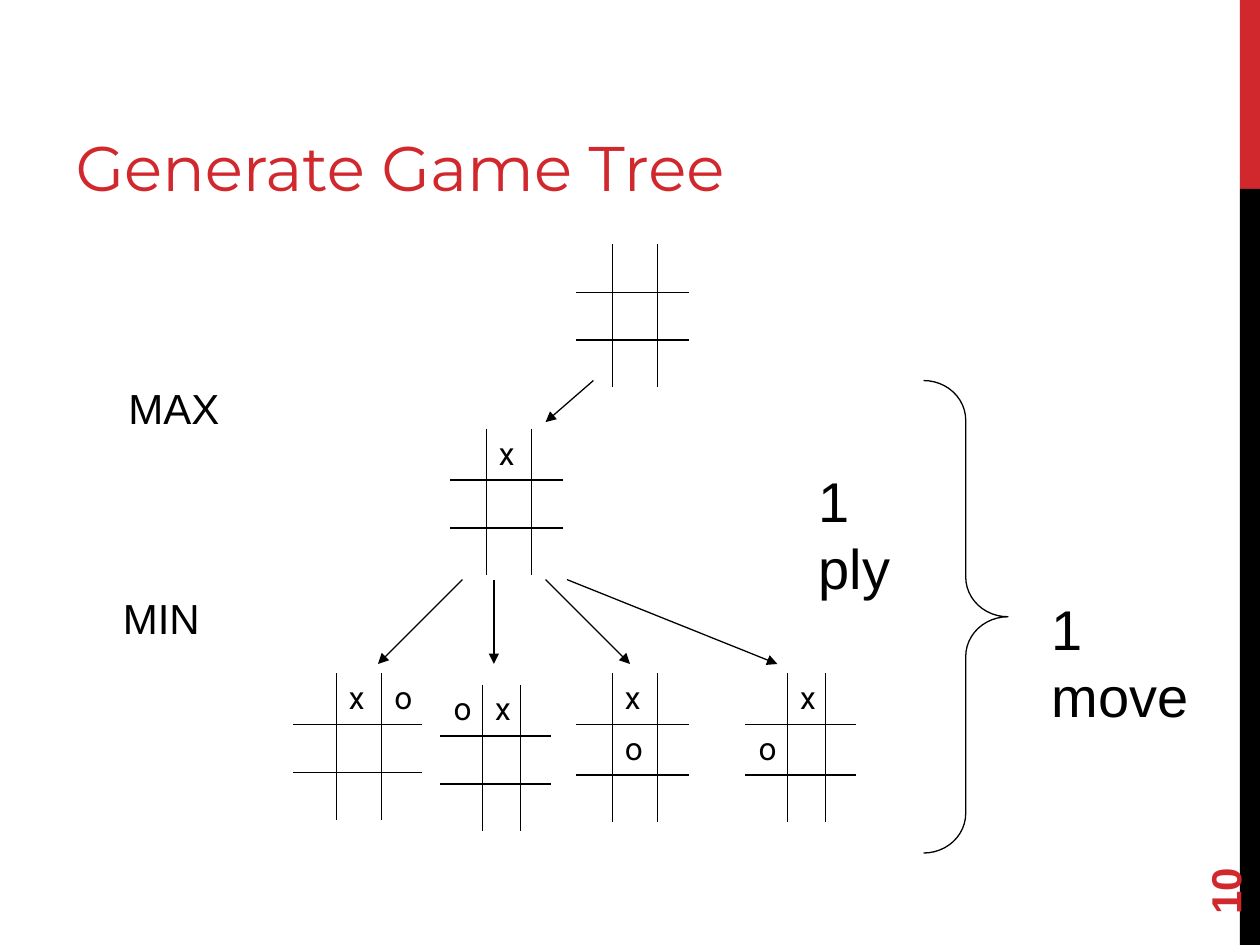
from lxml import etree
from pptx import Presentation
from pptx.dml.color import RGBColor
from pptx.enum.shapes import MSO_CONNECTOR, MSO_SHAPE
from pptx.enum.text import MSO_ANCHOR, PP_ALIGN
from pptx.oxml.ns import qn
from pptx.util import Inches, Pt

RECTANGLE = MSO_SHAPE.RECTANGLE
RIGHT_BRACE = MSO_SHAPE.RIGHT_BRACE
STRAIGHT = MSO_CONNECTOR.STRAIGHT
LEFT, CENTER = PP_ALIGN.LEFT, PP_ALIGN.CENTER
TOP, MIDDLE, BOTTOM = MSO_ANCHOR.TOP, MSO_ANCHOR.MIDDLE, MSO_ANCHOR.BOTTOM

RED, BLACK = "D1282E", "000000"
BOARD_SIZE = 3
EVEN_COLUMNS = (0.28, 0.36, 0.23)
WIDE_LEFT_COLUMNS = (0.33, 0.3, 0.23)
WIDE_COLUMNS = (0.34, 0.36, 0.31)
EMPTY_ROW, MARKED_ROW = 0.38, 0.4


def color(value):
    return RGBColor.from_string(value)


def box(left, top, width, height):
    return [Inches(length) for length in (left, top, width, height)]


class GameTreeSlide:
    body_font = "Arial"
    title_font = "Montserrat"
    mark_font = "Roboto"
    line_width = Pt(0.75)
    grid_width = Pt(1)

    def __init__(self, presentation):
        self.slide = presentation.slides.add_slide(presentation.slide_layouts[5])
        self.shapes = self.slide.shapes

    def set_text(self, frame, text, size, font, fill=BLACK, align=LEFT, bold=False):
        paragraph = frame.paragraphs[0]
        paragraph.text = text
        paragraph.alignment = align
        paragraph.font.size = Pt(size)
        paragraph.font.name = font
        paragraph.font.bold = bold
        paragraph.font.color.rgb = color(fill)

    def title(self, text, place):
        shape = self.shapes.title
        shape.left, shape.top, shape.width, shape.height = box(*place)
        shape.text_frame.vertical_anchor = BOTTOM
        self.set_text(shape.text_frame, text, 36, self.title_font, RED)

    def bar(self, place, fill):
        shape = self.shapes.add_shape(RECTANGLE, *box(*place))
        shape.shadow.inherit = False
        shape.fill.solid()
        shape.fill.fore_color.rgb = color(fill)
        shape.line.fill.background()

    def label(self, text, place, size, anchor=TOP, rotation=0, **style):
        shape = self.shapes.add_textbox(*box(*place))
        shape.rotation = rotation
        shape.text_frame.word_wrap = True
        shape.text_frame.vertical_anchor = anchor
        self.set_text(shape.text_frame, text, size, self.body_font, **style)

    def brace(self, place):
        shape = self.shapes.add_shape(RIGHT_BRACE, *box(*place))
        shape.shadow.inherit = False
        shape.adjustments[0] = 0.47
        shape.fill.background()
        shape.line.color.rgb = color(BLACK)
        shape.line.width = self.line_width

    def arrow(self, start, end):
        connector = self.shapes.add_connector(STRAIGHT, *box(*start, *end))
        connector.line.color.rgb = color(BLACK)
        connector.line.width = self.line_width
        properties = connector._element.spPr
        line = properties.find(qn("a:ln"))
        etree.SubElement(line, qn("a:tailEnd"), type="triangle")
        etree.SubElement(properties, qn("a:effectLst"))

    def cell_borders(self, cell, sides):
        """Draw the given sides, which must come in the order L, R, T, B."""
        properties = cell._tc.get_or_add_tcPr()
        for index, side in enumerate(sides):
            line = etree.Element(qn("a:ln" + side), w=str(int(self.grid_width)))
            fill = etree.SubElement(line, qn("a:solidFill"))
            etree.SubElement(fill, qn("a:srgbClr"), val=BLACK)
            properties.insert(index, line)

    def board(self, left, top, columns, marks):
        marked_rows = {row for row, column in marks}
        heights = [MARKED_ROW if row in marked_rows else EMPTY_ROW
                   for row in range(BOARD_SIZE)]
        place = box(left, top, sum(columns), sum(heights))
        table = self.shapes.add_table(BOARD_SIZE, BOARD_SIZE, *place).table
        table.first_row = table.horz_banding = False
        for column, width in zip(table.columns, columns):
            column.width = Inches(width)
        for row, height in zip(table.rows, heights):
            row.height = Inches(height)

        last = BOARD_SIZE - 1
        for row in range(BOARD_SIZE):
            for column in range(BOARD_SIZE):
                cell = table.cell(row, column)
                cell.fill.background()
                inner = {"L": column > 0, "R": column < last,
                         "T": row > 0, "B": row < last}
                self.cell_borders(cell, [side for side in inner if inner[side]])
                if (row, column) in marks:
                    self.set_text(cell.text_frame, marks[row, column], 18,
                                  self.mark_font)
                else:
                    cell.margin_top = cell.margin_bottom = 0


def main():
    presentation = Presentation()
    presentation.slide_width = Inches(10)
    presentation.slide_height = Inches(7.5)
    page = GameTreeSlide(presentation)

    # Side bars, page number and title
    page.bar((9.84, 0, 0.16, 1.5), RED)
    page.bar((9.84, 1.5, 0.16, 6), BLACK)
    page.label("10", (9, 6.44, 1.44, 0.4), 24, anchor=MIDDLE, rotation=270,
               fill=RED, bold=True)
    page.title("Generate Game Tree", (0.5, 0.17, 6.33, 1.5))

    # Boards: the start, the move of MAX, and the replies of MIN
    first_move = {(0, 1): "x"}
    boards = [
        (4.58, 1.94, EVEN_COLUMNS, {}),
        (3.58, 3.41, EVEN_COLUMNS, first_move),
        (3.5, 5.44, WIDE_LEFT_COLUMNS, {**first_move, (0, 0): "o"}),
        (4.58, 5.35, EVEN_COLUMNS, {**first_move, (1, 1): "o"}),
        (5.92, 5.35, WIDE_LEFT_COLUMNS, {**first_move, (1, 0): "o"}),
        (2.33, 5.35, WIDE_COLUMNS, {**first_move, (0, 2): "o"}),
    ]
    for board in boards:
        page.board(*board)

    # Arrows between the levels
    page.arrow((4.71, 3.02), (4.33, 3.35))
    for start, end in [(3.67, 3), (3.92, 3.92), (4.33, 5), (4.5, 6.17)]:
        page.arrow((start, 4.6), (end, 5.27))

    # Ply and move, with the brace between them
    page.label("1 ply", (6.4, 3.65, 0.91, 0.5), 32)
    page.brace((7.33, 3.02, 0.67, 3.75))
    page.label("1 move", (8.25, 4.67, 1.3, 0.5), 32)

    # Players
    page.label("MAX", (0.52, 2.99, 1.72, 0.5), 24, align=CENTER)
    page.label("MIN", (0.42, 4.65, 1.72, 0.5), 24, align=CENTER)

    presentation.save("out.pptx")


if __name__ == "__main__":
    main()
